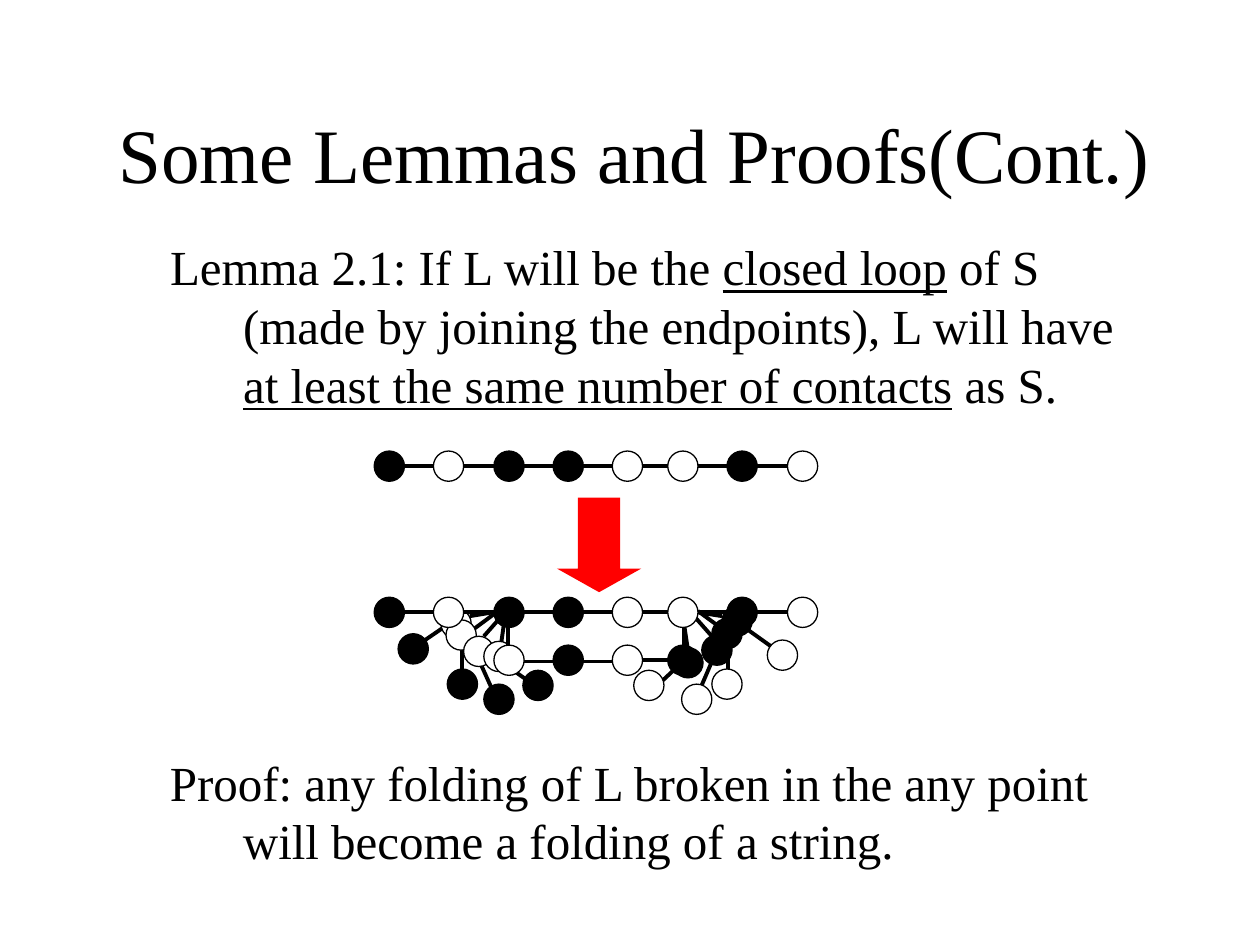
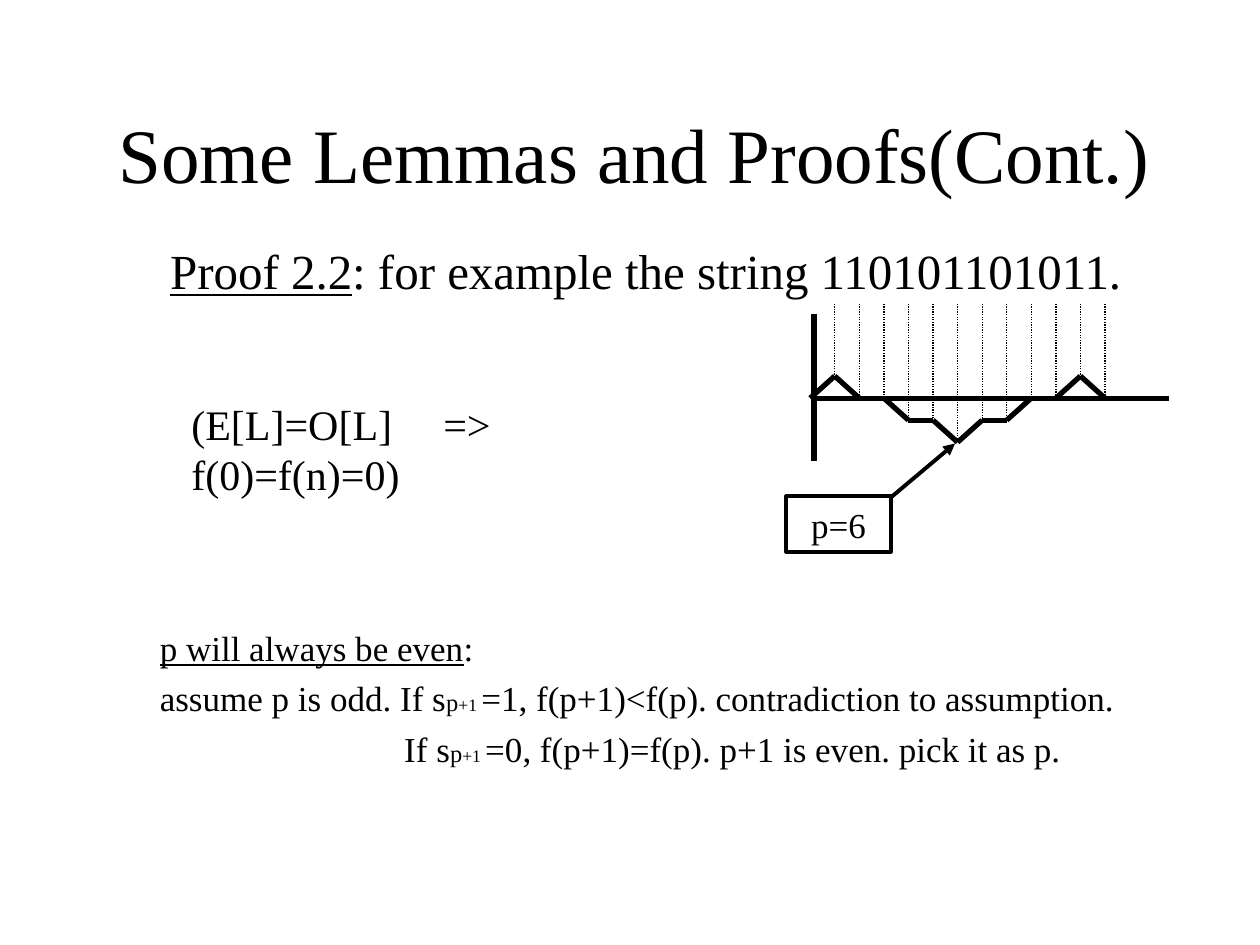
from dataclasses import dataclass
from itertools import pairwise
from lxml import etree
from pptx import Presentation
from pptx.dml.color import RGBColor
from pptx.enum.dml import MSO_LINE
from pptx.enum.shapes import MSO_CONNECTOR, MSO_SHAPE
from pptx.enum.text import MSO_ANCHOR, MSO_AUTO_SIZE, PP_ALIGN
from pptx.oxml.ns import qn
from pptx.util import Inches, Pt


@dataclass(frozen=True)
class Theme:
    font: str = "Times New Roman"
    black: RGBColor = RGBColor(0, 0, 0)
    white: RGBColor = RGBColor(255, 255, 255)
    red: RGBColor = RGBColor(255, 0, 0)
    title: int = 44
    body: int = 28
    formula: int = 24
    note: int = 20
    sub: int = 14
    subsub: int = 10
    thin: float = 0.75
    link: float = 2.25
    graph: float = 3


theme = Theme()
TITLE = "Some Lemmas and Proofs(Cont.)"
TITLE_BOX = (0.35, 0.5, 9.37, 1.42)
HANGING = (1.08, -0.58)
FLUSH = (0, 0)


def write(shape, bounds, paragraphs, align=PP_ALIGN.LEFT, anchor=MSO_ANCHOR.TOP, tabs=()):
    shape.left, shape.top, shape.width, shape.height = map(Inches, bounds)
    frame = shape.text_frame
    frame.word_wrap = True
    frame.auto_size = MSO_AUTO_SIZE.NONE
    frame.vertical_anchor = anchor
    for index, ((margin, indent), runs) in enumerate(paragraphs):
        para = frame.add_paragraph() if index else frame.paragraphs[0]
        props = para._p.get_or_add_pPr()
        props.set("marL", str(Inches(margin)))
        props.set("indent", str(Inches(indent)))
        etree.SubElement(props, qn("a:buNone"))
        if tabs:
            stops = etree.SubElement(props, qn("a:tabLst"))
            for stop in tabs:
                etree.SubElement(stops, qn("a:tab"), pos=str(Inches(stop)), algn="l")
        para.alignment = align
        para.space_before = Pt(5 if index else 0)
        for text, size, underlined in runs:
            span = para.add_run()
            span.text = text
            span.font.name = theme.font
            span.font.size = Pt(size)
            span.font.underline = underlined
            span.font.color.rgb = theme.black


def draw_line(page, start, end, weight):
    line = page.shapes.add_connector(MSO_CONNECTOR.STRAIGHT, *map(Inches, start + end))
    line.line.color.rgb = theme.black
    line.line.width = Pt(weight)
    etree.SubElement(line._element.spPr, qn("a:effectLst"))
    return line


deck = Presentation()
deck.slide_width, deck.slide_height = Inches(10), Inches(7.5)
lemma_page, proof_page = [deck.slides.add_slide(deck.slide_layouts[1]) for _ in range(2)]
for page in (lemma_page, proof_page):
    write(page.shapes.title, TITLE_BOX, [(FLUSH, [(TITLE, theme.title, False)])],
          PP_ALIGN.CENTER, MSO_ANCHOR.MIDDLE)

write(lemma_page.placeholders[1], (0.75, 1.83, 8.5, 1.56), [(HANGING, [
    ("Lemma 2.1: If L will be the ", theme.body, False),
    ("closed loop", theme.body, True),
    (" of S (made by joining the endpoints), L will have ", theme.body, False),
    ("at least the same number of contacts", theme.body, True),
    (" as S.", theme.body, False)])])

BEAD = 0.24
black, white = theme.black, theme.white
bead_lefts = [2.97, 3.44, 3.92, 4.39, 4.86, 5.3, 5.77, 6.25]
bead_fills = [black, white, black, black, white, white, black, white]
folds = [
    ([(5.54, 4.86, 5.73, 4.89), (5.91, 4.98, 6.12, 5.13),
      (3.91, 4.86, 3.73, 4.89), (3.52, 4.98, 3.3, 5.13)],
     [(3.16, 5.03, black), (3.5, 4.83, white), (5.73, 4.81, black), (6.09, 5.08, white)]),
    ([(5.54, 4.85, 5.73, 4.99), (5.78, 5.15, 5.78, 5.31),
      (3.94, 4.86, 3.75, 5), (3.67, 5.15, 3.67, 5.31)],
     [(3.55, 5.31, black), (5.65, 4.91, black), (5.65, 5.31, white), (3.54, 4.92, white)]),
    ([(3.99, 4.88, 3.84, 5.05), (3.82, 5.28, 3.91, 5.48),
      (5.65, 5.25, 5.56, 5.46), (5.5, 4.88, 5.65, 5.05)],
     [(3.84, 5.43, black), (5.57, 5.04, black), (5.41, 5.43, white), (3.68, 5.05, white)]),
    ([(4.01, 4.88, 3.98, 5.09), (4.03, 5.29, 4.2, 5.41),
      (5.41, 5.26, 5.26, 5.4), (5.43, 4.96, 5.46, 5.16)],
     [(4.15, 5.32, black), (5.34, 5.14, black), (3.84, 5.09, white), (5.03, 5.32, white)]),
    ([(4.03, 4.97, 4.03, 5.12), (4.15, 5.25, 4.86, 5.25),
      (5.43, 4.97, 5.43, 5.12), (5.1, 5.24, 5.34, 5.24)],
     [(4.39, 5.12, black), (5.3, 5.12, black), (3.92, 5.12, white), (4.86, 5.12, white)]),
]
for top in (4.74, 3.58):
    middle = top + BEAD / 2
    links = [(left + BEAD, middle, right, middle) for left, right in pairwise(bead_lefts)]
    beads = [(left, top, fill) for left, fill in zip(bead_lefts, bead_fills)]
    folds.append((links, beads))

for links, beads in folds:
    for link in links:
        draw_line(lemma_page, link[:2], link[2:], theme.link)
    for left, top, fill in beads:
        bead = lemma_page.shapes.add_shape(
            MSO_SHAPE.OVAL, *map(Inches, (left, top, BEAD, BEAD)))
        bead.shadow.inherit = False
        bead.fill.solid()
        bead.fill.fore_color.rgb = fill
        bead.line.color.rgb = theme.black
        bead.line.width = Pt(theme.thin)

arrow = lemma_page.shapes.add_shape(
    MSO_SHAPE.DOWN_ARROW, *map(Inches, (4.42, 3.95, 0.67, 0.75)))
arrow.adjustments[1] = 0.28
arrow.shadow.inherit = False
arrow.fill.solid()
arrow.fill.fore_color.rgb = theme.red
arrow.line.fill.background()

write(lemma_page.shapes.add_textbox(0, 0, 0, 0), (0.75, 5.92, 8.5, 1), [(HANGING, [
    ("Proof: any folding of L broken in the any point will become a folding of a string.",
     theme.body, False)])])

write(proof_page.placeholders[1], (0.75, 1.86, 8.67, 0.64), [(HANGING, [
    ("Proof 2.2", theme.body, True),
    (": for example the string ", theme.body, False),
    ("110101101011.", theme.body, False)])])

AXIS_LEFT, AXIS_Y, COLUMN, STEP = 6.45, 3.16, 0.195, 0.175
levels = [0, 1, 0, 0, -1, -1, -2, -1, -1, 0, 0, 1, 0]
points = [(6.43 + COLUMN * index, AXIS_Y - STEP * level) for index, level in enumerate(levels)]
draw_line(proof_page, (6.46, 2.49), (6.46, 3.66), theme.graph)
draw_line(proof_page, (AXIS_LEFT, AXIS_Y), (9.28, AXIS_Y), theme.graph)
for start, end in pairwise(points):
    if start[1] != AXIS_Y or end[1] != AXIS_Y:
        draw_line(proof_page, start, end, theme.graph)
    guide = draw_line(proof_page, (end[0], 2.41), end, theme.thin)
    guide.line.dash_style = MSO_LINE.ROUND_DOT

label = proof_page.shapes.add_shape(MSO_SHAPE.RECTANGLE, 0, 0, 0, 0)
label.shadow.inherit = False
label.fill.background()
label.line.color.rgb = theme.black
label.line.width = Pt(theme.link)
write(label, (6.24, 3.94, 0.83, 0.44), [(FLUSH, [("p=6", theme.note, False)])],
      PP_ALIGN.CENTER, MSO_ANCHOR.MIDDLE)
pointer = draw_line(proof_page, (7.08, 3.94), (7.58, 3.52), theme.link)
etree.SubElement(pointer.line._get_or_add_ln(), qn("a:tailEnd"), type="triangle")

subscript = [("p", theme.sub, False), ("+1 ", theme.subsub, False)]
write(proof_page.shapes.add_textbox(0, 0, 0, 0), (0.67, 4.92, 8.67, 1.25), [
    (HANGING, [("p will always be even", theme.note, True), (":", theme.note, False)]),
    (HANGING, [("assume p is odd. If s", theme.note, False), *subscript,
               ("=1, f(p+1)<f(p). contradiction to assumption.", theme.note, False)]),
    ((2.44, 0), [("If s", theme.note, False), *subscript,
                 ("=0, f(p+1)=f(p). p+1 is even. pick it as p.", theme.note, False)])])
write(proof_page.shapes.add_textbox(0, 0, 0, 0), (1.42, 3.11, 4.25, 0.47), [
    (FLUSH, [("(E[L]=O[L]\t=>\tf(0)=f(n)=0)", theme.formula, False)])], tabs=(1.76, 2.3))

deck.save("out.pptx")
